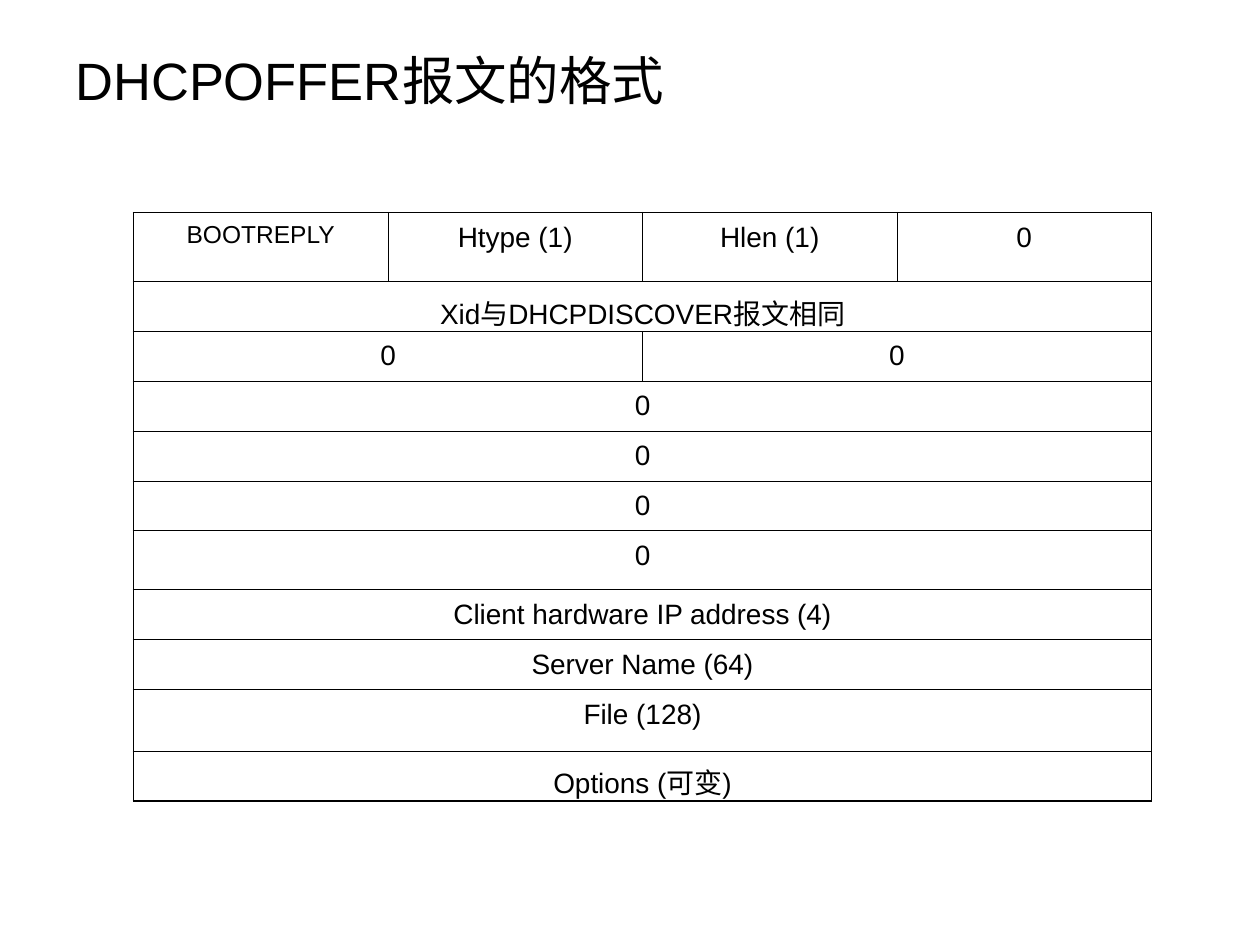
from lxml.etree import SubElement
from pptx import Presentation
from pptx.dml.color import RGBColor
from pptx.enum.text import MSO_ANCHOR, PP_ALIGN
from pptx.oxml.ns import qn
from pptx.util import Inches, Pt

COLORS = {"ink": "000000", "paper": "FFFFFF"}
FONT = "Arial"
OUTER, INNER = 1.08, 0.45  # border widths in points
COLS = 4

# Each row: relative height, then its fields, which share the columns equally
ROWS = [
    (39.4, ["BOOTREPLY", "Htype (1)", "Hlen (1)", "0"]),
    (28.5, ["Xid与DHCPDISCOVER报文相同"]),
    (28.5, ["0", "0"]),
    (28.5, ["0"]),
    (28.5, ["0"]),
    (28.5, ["0"]),
    (33.7, ["0"]),
    (28.5, ["Client hardware IP address (4)"]),
    (28.5, ["Server Name (64)"]),
    (35.4, ["File (128)"]),
    (28.5, ["Options (可变)"]),
]


def style_runs(p, size):
    for r in p.runs:
        r.font.size = Pt(size)
        r.font.name = FONT
        r.font.color.rgb = RGBColor.from_string(COLORS["ink"])


def set_borders(cell, widths):
    tc_pr = cell._tc.get_or_add_tcPr()
    for i, (side, width) in enumerate(widths.items()):
        ln = SubElement(tc_pr, qn(f"a:ln{side}"), w=str(Pt(width)))
        fill = SubElement(ln, qn("a:solidFill"))
        SubElement(fill, qn("a:srgbClr"), val=COLORS["ink"])
        # Borders come before the fill in the schema
        tc_pr.remove(ln)
        tc_pr.insert(i, ln)


def add_title(s, text, x, y, w, h):
    tf = s.shapes.add_textbox(x, y, w, h).text_frame
    tf.word_wrap = True
    tf.vertical_anchor = MSO_ANCHOR.MIDDLE
    tf.text = text
    style_runs(tf.paragraphs[0], 30)


def fill_field(cell, text):
    cell.text = text
    p = cell.text_frame.paragraphs[0]
    p.alignment = PP_ALIGN.CENTER
    p.line_spacing = 1.1
    style_runs(p, 14 if text == "BOOTREPLY" else 16)


def add_message_format(s, x, y, w, h):
    table = s.shapes.add_table(len(ROWS), COLS, x, y, w, h).table
    table.first_row = table.horz_banding = False
    total = sum(weight for weight, _ in ROWS)
    for col in table.columns:
        col.width = int(w / COLS)
    last = len(ROWS) - 1
    for i, (weight, fields) in enumerate(ROWS):
        table.rows[i].height = int(h * weight / total)
        span = COLS // len(fields)
        for j in range(COLS):
            cell = table.cell(i, j)
            cell.fill.solid()
            cell.fill.fore_color.rgb = RGBColor.from_string(COLORS["paper"])
            set_borders(cell, {
                "L": OUTER if j == 0 else INNER,
                "R": OUTER if j + span >= COLS else INNER,
                "T": OUTER if i == 0 else INNER,
                "B": OUTER if i == last else INNER,
            })
        for k, text in enumerate(fields):
            cell = table.cell(i, k * span)
            if span > 1:
                cell.merge(table.cell(i, (k + 1) * span - 1))
            fill_field(cell, text)


def main():
    prs = Presentation()
    prs.slide_width, prs.slide_height = Inches(10), Inches(7.5)
    W, H = prs.slide_width, prs.slide_height
    s = prs.slides.add_slide(prs.slide_layouts[6])
    add_title(s, "DHCPOFFER报文的格式",
              int(W * 0.05), int(H * 0.028), int(W * 0.82), int(H * 0.113))
    add_message_format(s, int(W * 0.106), int(H * 0.225),
                       int(W * 0.808), int(H * 0.623))
    prs.save("out.pptx")


if __name__ == "__main__":
    main()
